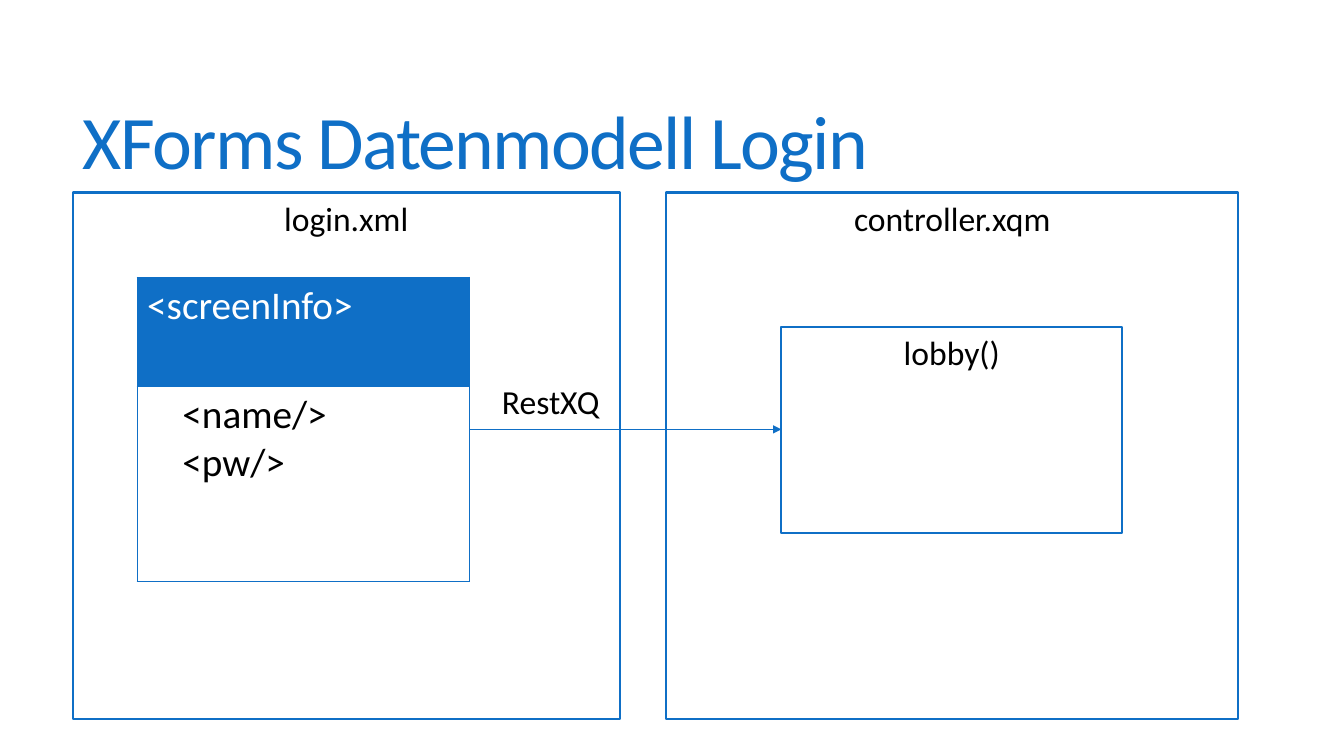
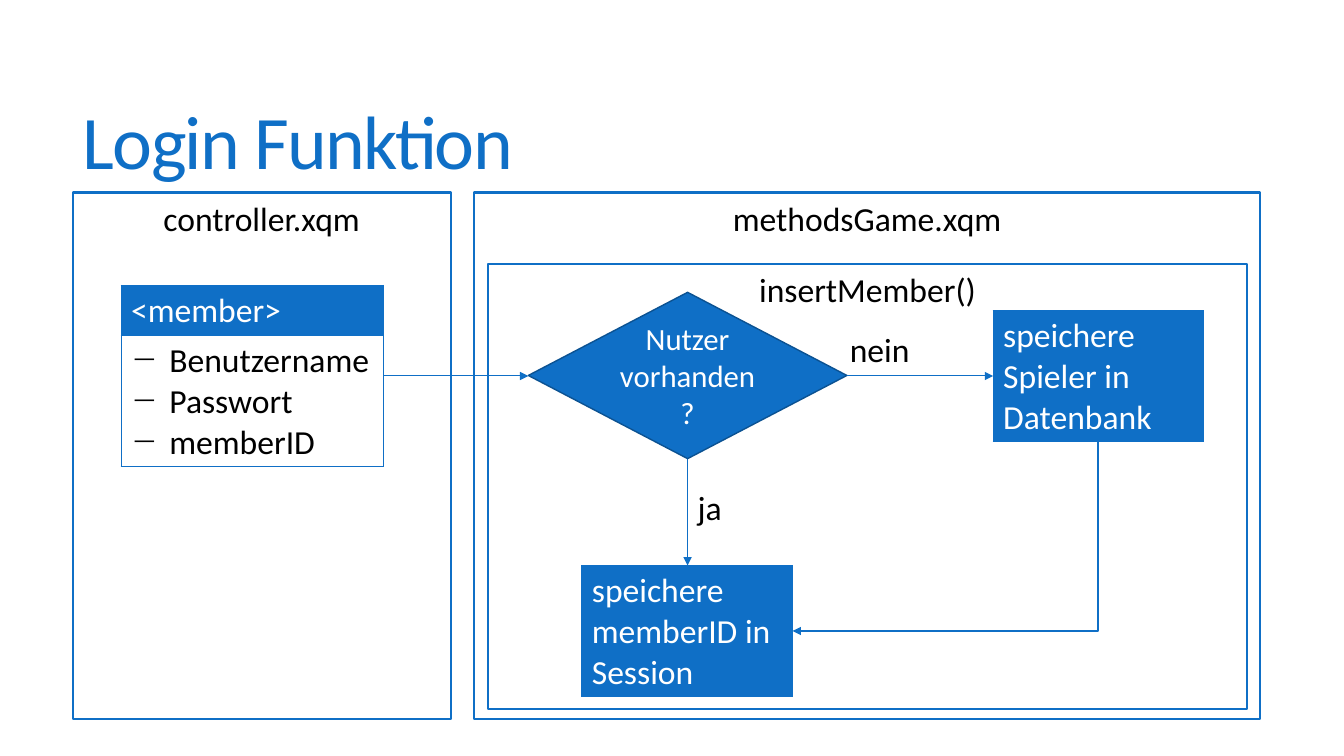
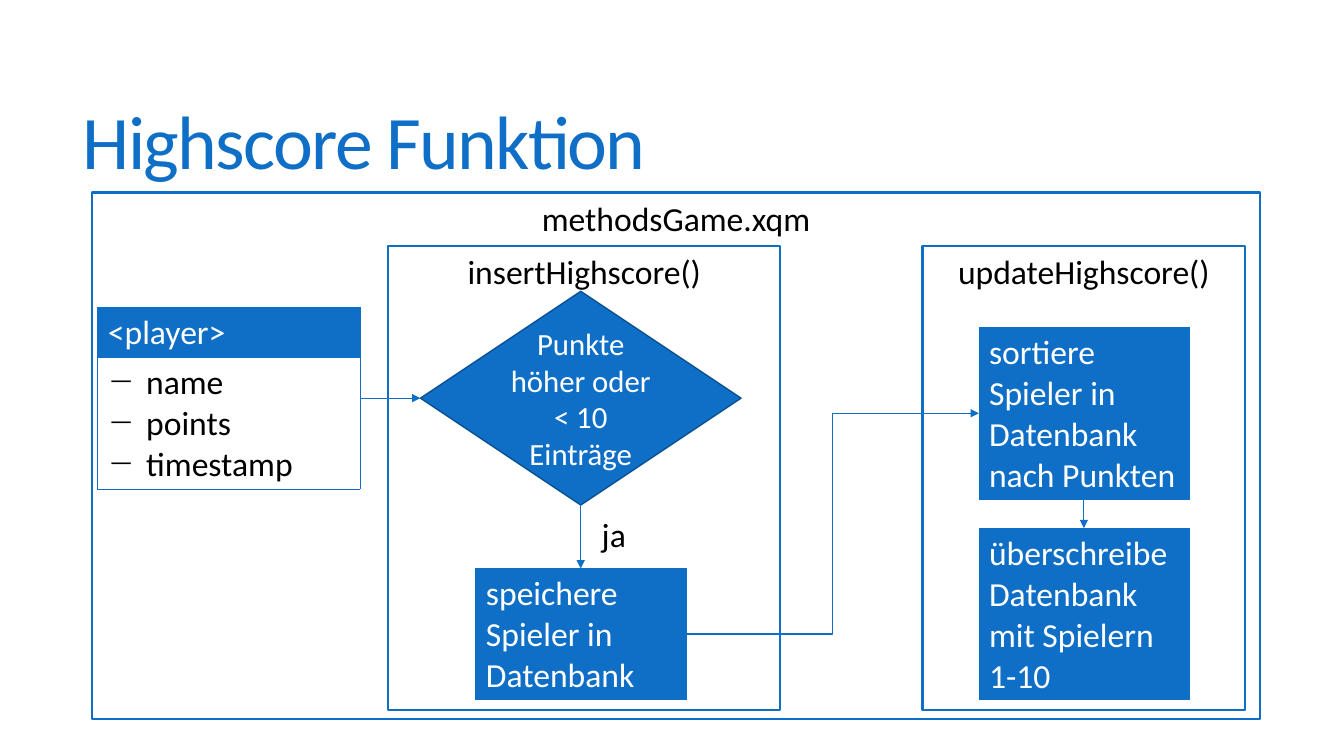
from dataclasses import dataclass

from lxml import etree
from pptx import Presentation
from pptx import util as u
from pptx.dml import color as dml
from pptx.enum import shapes, text
from pptx.oxml import ns

Inches = u.Inches


@dataclass(frozen=True)
class Theme:
    font: str = "Calibri"
    blue: str = "0F6FC6"
    dark_blue: str = "0B5292"
    black: str = "000000"
    white: str = "FFFFFF"
    title_size: int = 54
    large_size: int = 28
    text_size: int = 24
    decision_size: int = 22
    thin: float = 0.75
    medium: float = 1
    thick: float = 1.5
    frame_top: float = 1.91
    frame_height: float = 5.22
    step_width: float = 2.09
    record_width: float = 2.6


THEME = Theme()


def rgb(value):
    return dml.RGBColor.from_string(value)


def box(*lengths):
    return [Inches(length) for length in lengths]


def add_xml(parent, tag, **attributes):
    return etree.SubElement(parent, ns.qn(tag), attributes)


def write(frame, *lines, size=THEME.text_size, color=THEME.black, align=None,
          anchor=None, spacing=None, tracking=None, indent=0, bullet=None):
    frame.word_wrap = True
    if anchor is not None:
        frame.vertical_anchor = anchor
    for number, line in enumerate(lines):
        paragraph = frame.add_paragraph() if number else frame.paragraphs[0]
        paragraph.alignment = align
        if spacing:
            paragraph.line_spacing = spacing
        run = paragraph.add_run()
        run.text = line
        run.font.name = THEME.font
        run.font.size = u.Pt(size)
        run.font.bold = False
        run.font.color.rgb = rgb(color)
        if tracking:
            run.font._element.set("spc", str(round(tracking * 100)))
        if indent:
            properties = paragraph._p.get_or_add_pPr()
            properties.set("marL", str(Inches(indent)))
            if bullet:
                properties.set("indent", str(Inches(-indent)))
                add_xml(properties, "a:buChar", char=bullet)


def add_titled_slide(deck, title):
    slide = deck.slides.add_slide(deck.slide_layouts[5])
    heading = slide.shapes.title
    heading.left, heading.top, heading.width, heading.height = box(0.72, 0.55, 11.78, 1.81)
    heading.text_frame.auto_size = text.MSO_AUTO_SIZE.NONE
    write(heading.text_frame, title, size=THEME.title_size, color=THEME.blue,
          align=text.PP_ALIGN.LEFT, anchor=text.MSO_ANCHOR.MIDDLE,
          spacing=0.85, tracking=-1.2)
    return slide


def outline(shape, color, width):
    shape.line.color.rgb = rgb(color)
    shape.line.width = u.Pt(width)


def add_frame(slide, caption, left, width, top=THEME.frame_top, height=THEME.frame_height):
    frame = slide.shapes.add_shape(shapes.MSO_SHAPE.RECTANGLE, *box(left, top, width, height))
    frame.shadow.inherit = False
    frame.fill.background()
    outline(frame, THEME.blue, THEME.thick)
    write(frame.text_frame, caption, align=text.PP_ALIGN.CENTER, anchor=text.MSO_ANCHOR.TOP)


def add_decision(slide, question, left, top, width, height):
    decision = slide.shapes.add_shape(
        shapes.MSO_SHAPE.FLOWCHART_DECISION, *box(left, top, width, height))
    decision.shadow.inherit = False
    decision.fill.solid()
    decision.fill.fore_color.rgb = rgb(THEME.blue)
    outline(decision, THEME.dark_blue, THEME.medium)
    write(decision.text_frame, question, size=THEME.decision_size, color=THEME.white,
          align=text.PP_ALIGN.CENTER, anchor=text.MSO_ANCHOR.MIDDLE)


def add_label(slide, caption, left, top, width):
    label = slide.shapes.add_textbox(*box(left, top, width, 0.5))
    write(label.text_frame, caption)
    label.text_frame.auto_size = text.MSO_AUTO_SIZE.SHAPE_TO_FIT_TEXT


def add_grid(slide, left, top, width, heights):
    grid = slide.shapes.add_table(
        len(heights), 1, *box(left, top, width, sum(heights))).table
    grid.first_row = False
    grid.horz_banding = False
    for row, height in zip(grid.rows, heights):
        row.height = Inches(height)
        properties = row.cells[0]._tc.get_or_add_tcPr()
        for side in ("a:lnL", "a:lnR", "a:lnT", "a:lnB"):
            border = add_xml(properties, side, w=str(u.Pt(THEME.thin)))
            add_xml(add_xml(border, "a:solidFill"), "a:srgbClr", val=THEME.blue)
    head = grid.cell(0, 0)
    head.fill.solid()
    head.fill.fore_color.rgb = rgb(THEME.blue)
    return grid


def add_step(slide, caption, left, top, height=1.3):
    step = add_grid(slide, left, top, THEME.step_width, [height])
    write(step.cell(0, 0).text_frame, caption, color=THEME.white)


def add_record(slide, element, fields, left, top, width=THEME.record_width,
               heights=(0.5, 1.3), size=THEME.text_size, indent=0.38, bullet="\u2212"):
    record = add_grid(slide, left, top, width, heights)
    write(record.cell(0, 0).text_frame, element, size=size, color=THEME.white)
    body = record.cell(1, 0)
    body.fill.background()
    write(body.text_frame, *fields, size=size, indent=indent, bullet=bullet)


def add_arrow(slide, start, end, route=shapes.MSO_CONNECTOR.STRAIGHT):
    arrow = slide.shapes.add_connector(route, *box(*start, *end))
    outline(arrow, THEME.blue, THEME.thin)
    add_xml(arrow.line._get_or_add_ln(), "a:tailEnd", type="triangle")
    add_xml(arrow._element.spPr, "a:effectLst")
    return arrow


def add_down_left_arrow(slide, start, end):
    middle_x, middle_y = (start[0] + end[0]) / 2, (start[1] + end[1]) / 2
    half_drop, half_run = (end[1] - start[1]) / 2, (start[0] - end[0]) / 2
    arrow = add_arrow(slide, (middle_x - half_drop, middle_y - half_run),
                      (middle_x + half_drop, middle_y + half_run),
                      shapes.MSO_CONNECTOR.ELBOW)
    properties = arrow._element.spPr
    properties.find(ns.qn("a:prstGeom")).set("prst", "bentConnector2")
    properties.find(ns.qn("a:xfrm")).set("rot", str(90 * 60000))


def build_login_model(deck):
    slide = add_titled_slide(deck, "XForms Datenmodell Login")
    add_record(slide, "<screenInfo>", ["<name/>", "<pw/>"], 1.36, 2.75, width=3.3,
               heights=(1.08, 1.94), size=THEME.large_size, indent=0.35, bullet=None)
    add_frame(slide, "login.xml", 0.72, 5.43)
    add_frame(slide, "controller.xqm", 6.61, 5.67)
    add_arrow(slide, (4.66, 4.26), (7.75, 4.26))
    add_frame(slide, "lobby()", 7.75, 3.38, top=3.24, height=2.05)
    add_label(slide, "RestXQ", 4.88, 3.73, 1.69)


def build_login_function(deck):
    slide = add_titled_slide(deck, "Login Funktion")
    add_frame(slide, "controller.xqm", 0.72, 3.75)
    add_label(slide, "nein", 8.33, 3.21, 2.63)
    add_arrow(slide, (6.82, 4.55), (6.82, 5.61))
    add_record(slide, "<member>", ["Benutzername", "Passwort", "memberID"], 1.2, 2.83)
    add_decision(slide, "Nutzer vorhanden?", 5.24, 2.9, 3.16, 1.65)
    add_step(slide, "speichere Spieler in Datenbank", 9.85, 3.08)
    add_step(slide, "speichere memberID in Session", 5.77, 5.61)
    add_arrow(slide, (8.4, 3.73), (9.85, 3.73))
    add_down_left_arrow(slide, (10.89, 4.38), (7.86, 6.26))
    add_arrow(slide, (3.8, 3.73), (5.24, 3.73))
    add_frame(slide, "methodsGame.xqm", 4.7, 7.8)
    add_label(slide, "ja", 6.82, 4.78, 2.63)
    add_frame(slide, "insertMember()", 4.84, 7.53, top=2.62, height=4.41)


def build_highscore_function(deck):
    slide = add_titled_slide(deck, "Highscore Funktion")
    add_label(slide, "ja", 5.87, 5.05, 0.86)
    add_record(slide, "<player>", ["name", "points", "timestamp"], 0.97, 3.05)
    add_decision(slide, "Punkte höher oder < 10 Einträge", 4.17, 2.89, 3.18, 2.12)
    add_step(slide, "sortiere Spieler in Datenbank nach Punkten", 9.71, 3.25, 1.7)
    add_arrow(slide, (3.57, 3.95), (4.17, 3.95))
    add_frame(slide, "methodsGame.xqm", 0.91, 11.59)
    add_frame(slide, "insertHighscore()", 3.85, 3.89, top=2.44, height=4.6)
    add_frame(slide, "updateHighscore()", 9.15, 3.2, top=2.44, height=4.6)
    add_step(slide, "speichere Spieler in Datenbank", 4.72, 5.64)
    add_arrow(slide, (5.76, 5.01), (5.76, 5.64))
    add_step(slide, "überschreibe Datenbank mit Spielern 1-10", 9.71, 5.24, 1.7)
    add_arrow(slide, (6.81, 6.29), (9.71, 4.1), shapes.MSO_CONNECTOR.ELBOW)
    add_arrow(slide, (10.75, 4.95), (10.75, 5.24))


def main():
    deck = Presentation()
    deck.slide_width, deck.slide_height = box(13.33, 7.5)
    build_login_model(deck)
    build_login_function(deck)
    build_highscore_function(deck)
    deck.save("out.pptx")


main()
